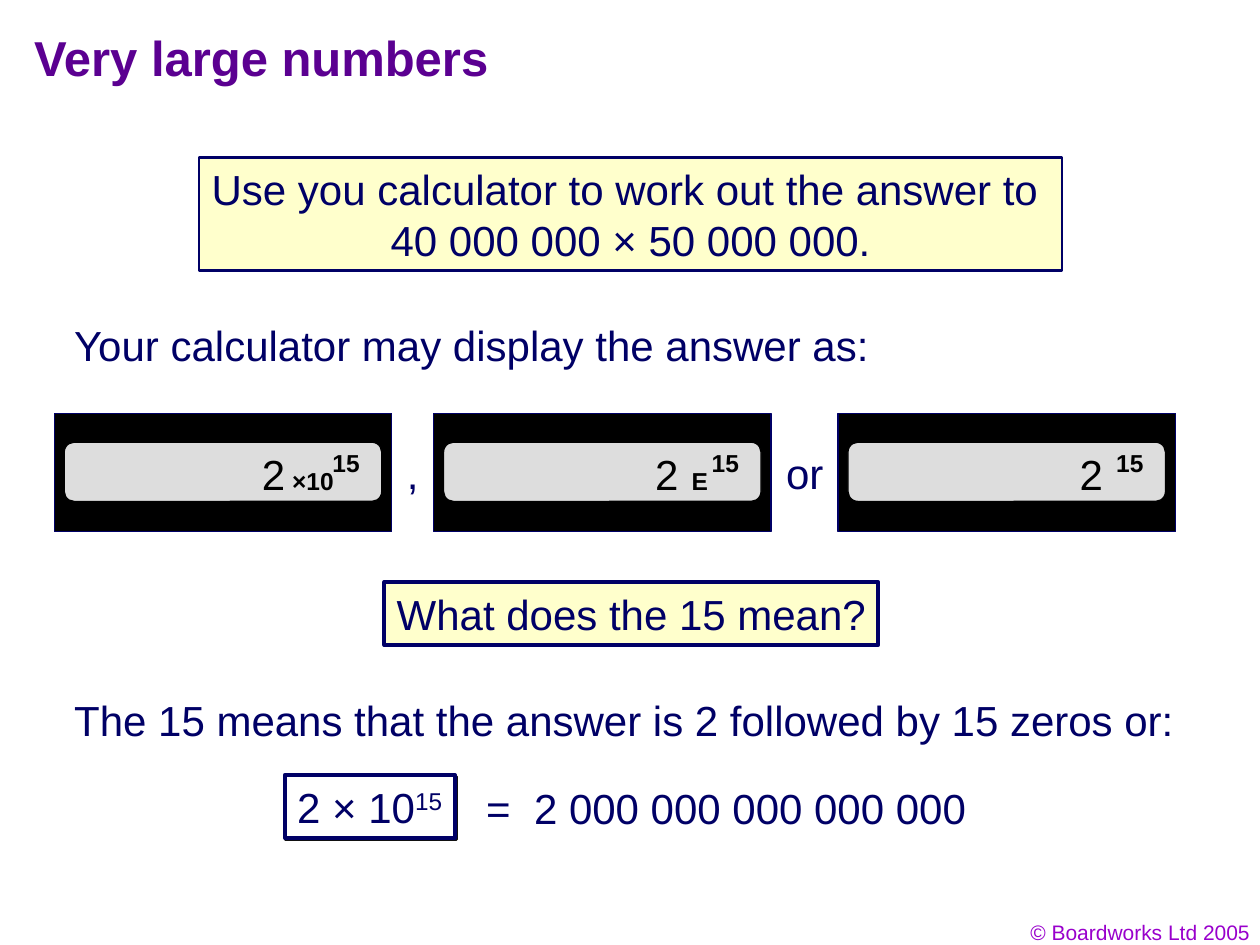
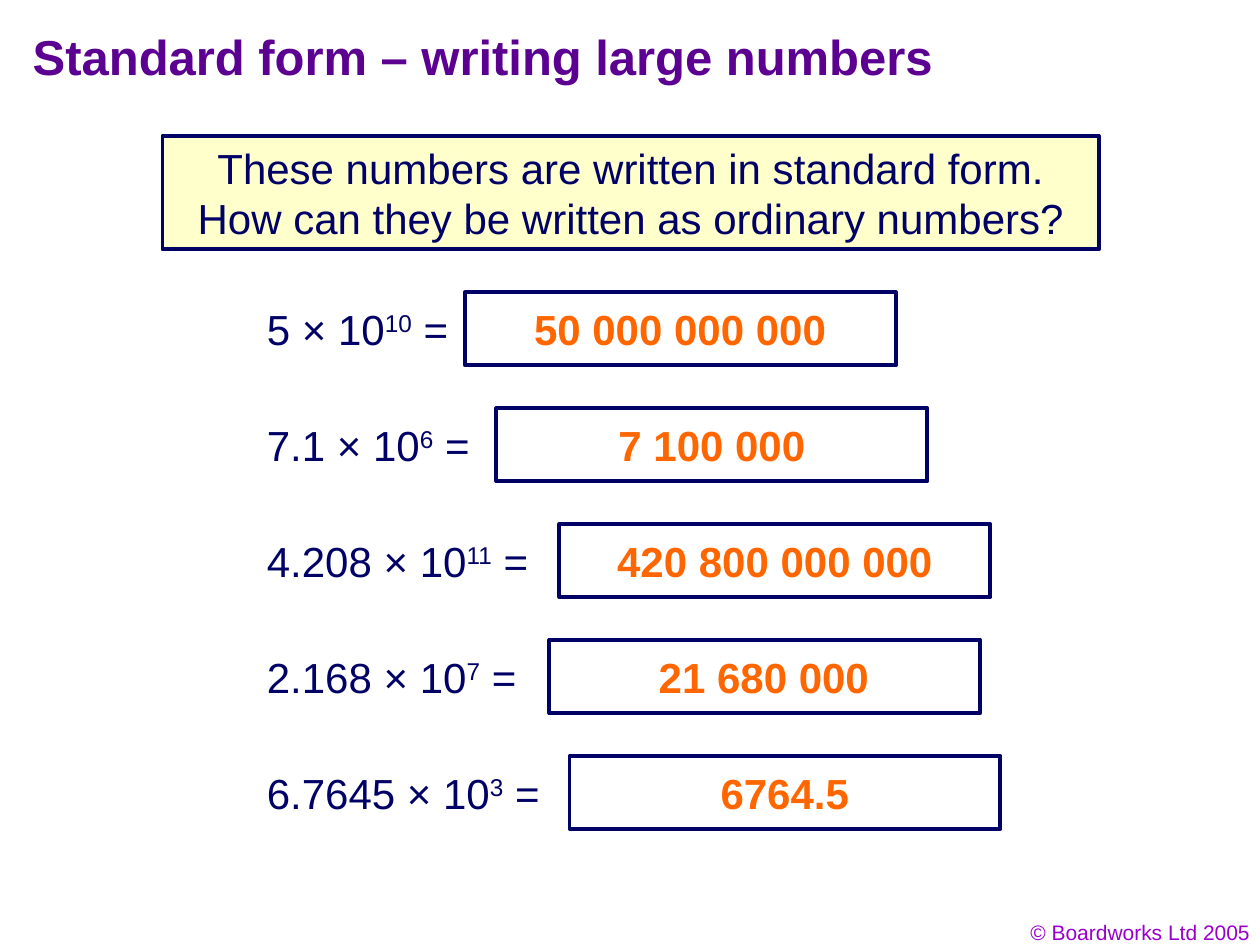
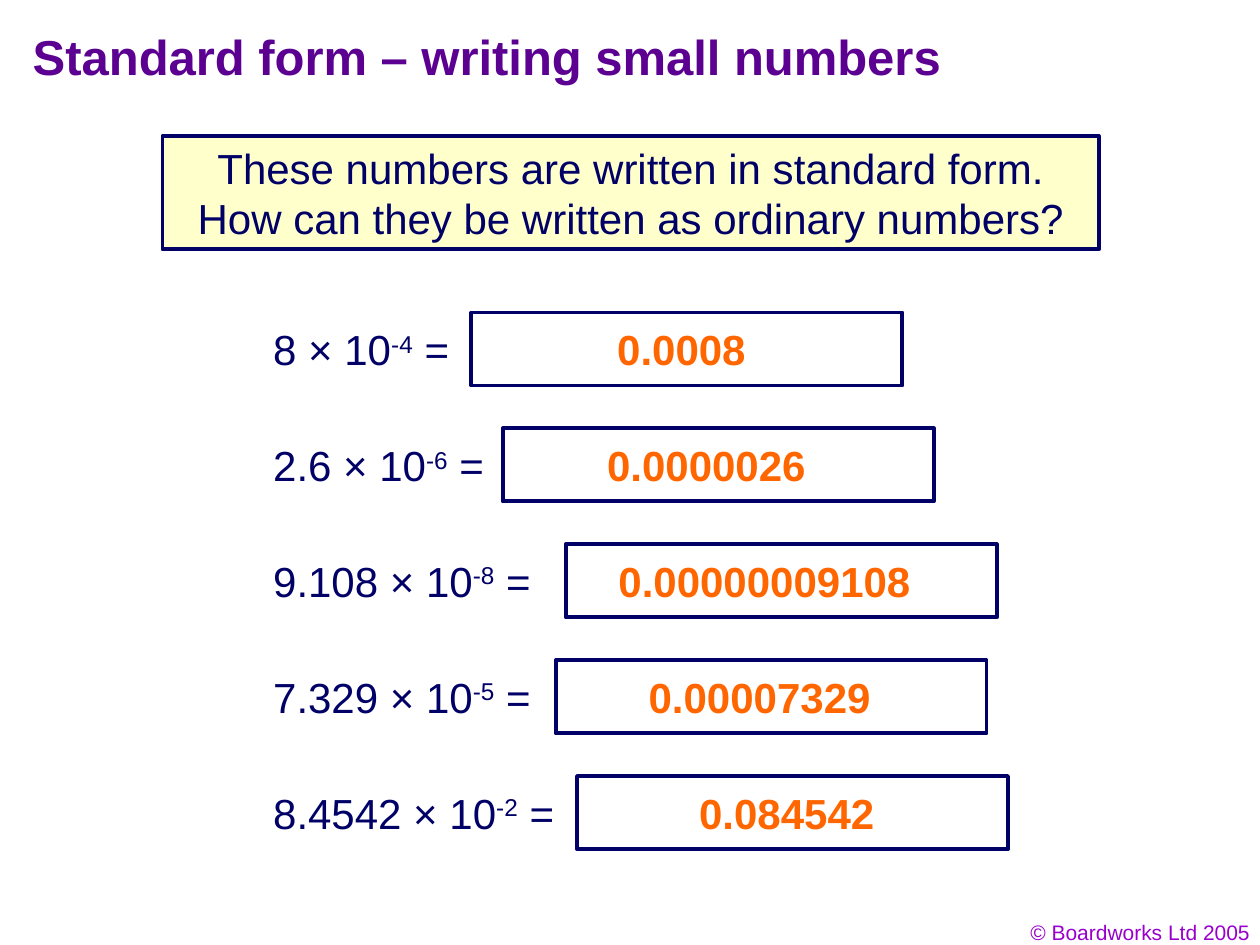
from lxml import etree
from pptx import Presentation
from pptx.dml.color import RGBColor
from pptx.enum.shapes import MSO_SHAPE
from pptx.enum.text import MSO_ANCHOR, MSO_AUTO_SIZE, PP_ALIGN
from pptx.oxml.ns import qn
from pptx.util import Pt

PX = 9144  # 100 px to the inch
FONT = "Arial"
NAVY = RGBColor(0x00, 0x00, 0x66)
PURPLE = RGBColor(0x5B, 0x00, 0x91)
VIOLET = RGBColor(0x99, 0x00, 0xCC)
ORANGE = RGBColor(0xFF, 0x66, 0x00)
CREAM = RGBColor(0xFF, 0xFF, 0xCC)
GREY = RGBColor(0xDD, 0xDD, 0xDD)
BLACK = RGBColor(0x00, 0x00, 0x00)
WHITE = RGBColor(0xFF, 0xFF, 0xFF)

BODY = dict(size=Pt(24), color=NAVY)
TITLE = dict(size=Pt(28), color=PURPLE, bold=True)
FOOTER = dict(size=Pt(12), color=VIOLET)
ANSWER = dict(size=Pt(24), color=ORANGE, bold=True)
DIGIT = dict(size=Pt(24), color=BLACK)
SMALL_DIGIT = dict(size=Pt(14), color=BLACK, bold=True)

COPYRIGHT = "© Boardworks Ltd 2005"
FOOTER_BOX = (769, 725, 233, 30)

LARGE_TITLE = ("Very large numbers", (17, 17, 842, 58))
TASK = ["Use you calculator to work out the answer to ", "40 000 000 × 50 000 000."]
LARGE_TEXTS = [
    ("Your calculator may display the answer as:", (49, 249, 653, 50)),
    (",", (313, 350, 29, 50)),
    ("or", (614, 350, 49, 50)),
    ("The 15 means that the answer is 2 followed by 15 zeros or:", (49, 546, 892, 50)),
    ("=", (376, 616, 38, 50)),
    ("2 000 000 000 000 000", (414, 616, 363, 50)),
]
CALCULATOR_TOP = 328
# left, offset of the 2, (text, offset, width) of the sign before the power
CALCULATORS = [
    (43, 155, ("×10", 179, 53)),
    (344, 166, ("E", 195, 33)),
    (665, 182, None),
]

QUESTION = "These numbers are written in standard form. How can they be written as ordinary numbers?"
QUESTION_BOX = (129, 108, 743, 90)
ROW_PITCH = 92
# number, power, label width, box left, answer, answer left, answer width
EXERCISES = [
    dict(title=("Standard form – writing large numbers", (16, 16, 794, 53)),
         left=202, top=232, rows=[
             ("5", "10", 164, 369, "50 000 000 000", 414, 251),
             ("7.1", "6", 181, 394, "7 100 000", 481, 168),
             ("4.208", "11", 228, 444, "420 800 000 000", 480, 270),
             ("2.168", "7", 218, 436, "21 680 000", 513, 187),
             ("6.7645", "3", 236, 452, "6764.5", 562, 122)]),
    dict(title=("Standard form – writing small numbers", (16, 16, 850, 60)),
         left=207, top=248, rows=[
             ("8", "-4", 159, 374, "0.0008", 480, 122),
             ("2.6", "-6", 187, 399, "0.0000026", 472, 177),
             ("9.108", "-8", 224, 449, "0.00000009108", 481, 251),
             ("7.329", "-5", 224, 441, "0.00007329", 505, 196),
             ("8.4542", "-2", 243, 458, "0.084542", 545, 159)]),
]


def emu(box):
    return [v * PX for v in box]


def write(sp, paragraphs, style, align=PP_ALIGN.LEFT, wrap=False):
    """Fill a shape; a paragraph is a string or a list of parts, every second part raised."""
    tf = sp.text_frame
    tf.word_wrap = wrap
    tf.auto_size = MSO_AUTO_SIZE.NONE
    tf.vertical_anchor = MSO_ANCHOR.TOP
    for i, parts in enumerate(paragraphs):
        p = tf.paragraphs[0] if i == 0 else tf.add_paragraph()
        p.alignment = align
        for j, text in enumerate([parts] if isinstance(parts, str) else parts):
            r = p.add_run()
            r.text = text
            r.font.name = FONT
            for key, value in style.items():
                if key == "color":
                    r.font.color.rgb = value
                else:
                    setattr(r.font, key, value)
            if j % 2:
                r._r.get_or_add_rPr().set("baseline", "30000")


def add_text(s, text, box, style=BODY, **kw):
    sp = s.shapes.add_textbox(*emu(box))
    write(sp, [text], style, **kw)
    return sp


def add_box(s, box, fill=WHITE, line=NAVY, width=2.25, kind=MSO_SHAPE.RECTANGLE):
    sp = s.shapes.add_shape(kind, *emu(box))
    sp.shadow.inherit = False
    sp.fill.solid()
    sp.fill.fore_color.rgb = fill
    sp.line.color.rgb = line
    sp.line.width = Pt(width)
    return sp


def add_hard_shadow(sp):
    effects = sp._element.spPr.find(qn("a:effectLst"))
    shadow = etree.SubElement(effects, qn("a:outerShdw"), dist=str(Pt(1.4)),
                              dir="2700000", algn="ctr", rotWithShape="0")
    etree.SubElement(shadow, qn("a:srgbClr"), val="111111")


def add_slide(prs, layout, title):
    s = prs.slides.add_slide(layout)
    text, box = title
    sp = s.shapes.title
    sp.left, sp.top, sp.width, sp.height = emu(box)
    write(sp, [text], TITLE, wrap=True)
    return s


def add_calculator(s, left, digit, sign):
    top = CALCULATOR_TOP
    add_box(s, (left, top, 268, 94), BLACK, NAVY, 0.75)
    add_box(s, (left + 8, top + 23, 252, 47), GREY, BLACK, 0.75,
            MSO_SHAPE.ROUNDED_RECTANGLE)
    add_text(s, "2", (left + digit, top + 23, 38, 50), DIGIT)
    if sign:
        text, dx, width = sign
        add_text(s, text, (left + dx, top + 37, width, 34), SMALL_DIGIT)
    add_text(s, "15", (left + 211, top + 23, 41, 34), SMALL_DIGIT)


def add_large_numbers(prs, layout):
    s = add_slide(prs, layout, LARGE_TITLE)
    write(add_box(s, (158, 125, 685, 90), CREAM, width=1.5), TASK, BODY, PP_ALIGN.CENTER)
    for text, box in LARGE_TEXTS:
        add_text(s, text, box)
    for calculator in CALCULATORS:
        add_calculator(s, *calculator)
    write(add_box(s, (305, 462, 392, 50), CREAM), ["What does the 15 mean?"], BODY)
    power = add_box(s, (226, 615, 135, 50))
    add_hard_shadow(power)
    write(power, [["2 × 10", "15"]], BODY)
    return s


def add_exercise(prs, layout, title, left, top, rows):
    s = add_slide(prs, layout, title)
    write(add_box(s, QUESTION_BOX, CREAM), [QUESTION], BODY, PP_ALIGN.CENTER, wrap=True)
    for i, (number, power, width, box_left, answer, answer_left, answer_width) in enumerate(rows):
        y = top + i * ROW_PITCH
        add_text(s, [f"{number} × 10", power, " ="], (left, y + 4, width, 50))
        add_box(s, (box_left, y, 342, 58))
        add_text(s, answer, (answer_left, y + 4, answer_width, 50), ANSWER)


def main():
    prs = Presentation()
    prs.slide_width, prs.slide_height = emu((1000, 750))
    layout = prs.slide_layouts[5]
    s = add_large_numbers(prs, layout)
    footer = add_text(s, COPYRIGHT, FOOTER_BOX, FOOTER, align=PP_ALIGN.RIGHT, wrap=True)
    layout.shapes.element.append(footer.element)  # shared by every slide
    for exercise in EXERCISES:
        add_exercise(prs, layout, **exercise)
    prs.save("out.pptx")


if __name__ == "__main__":
    main()
